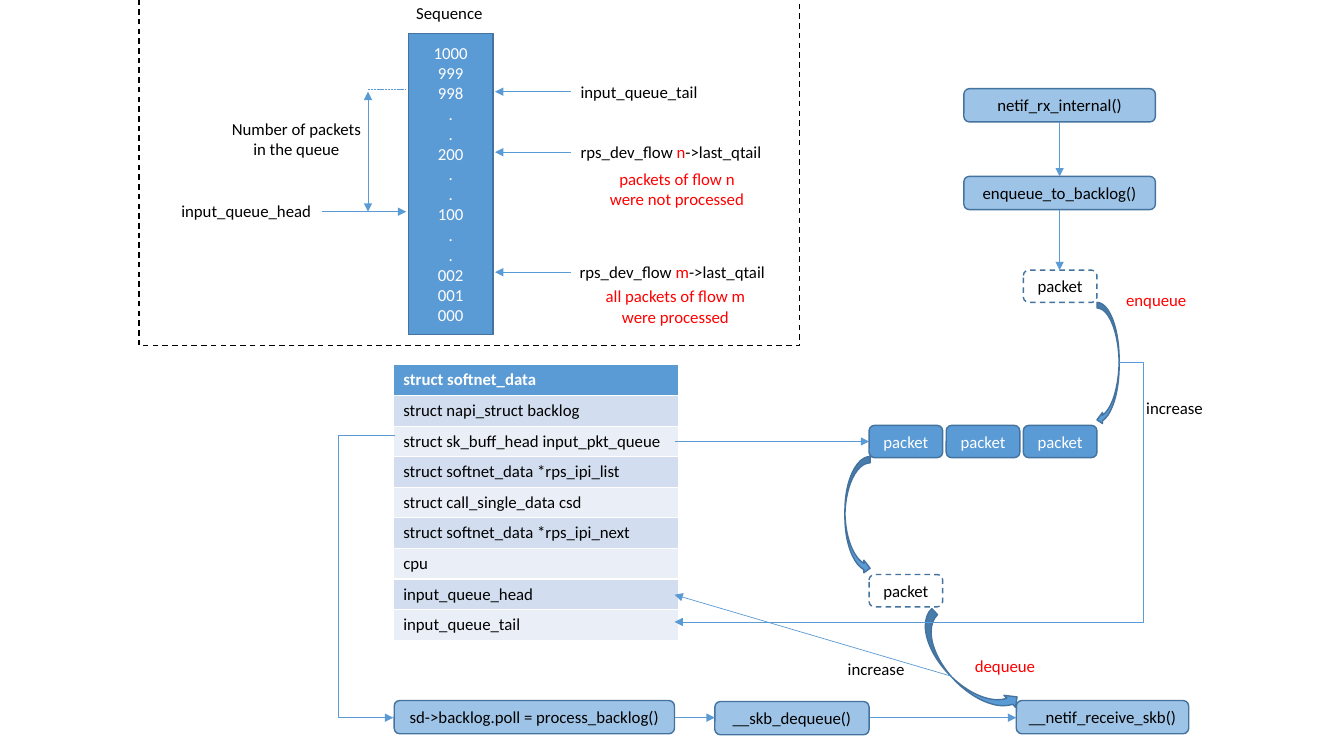
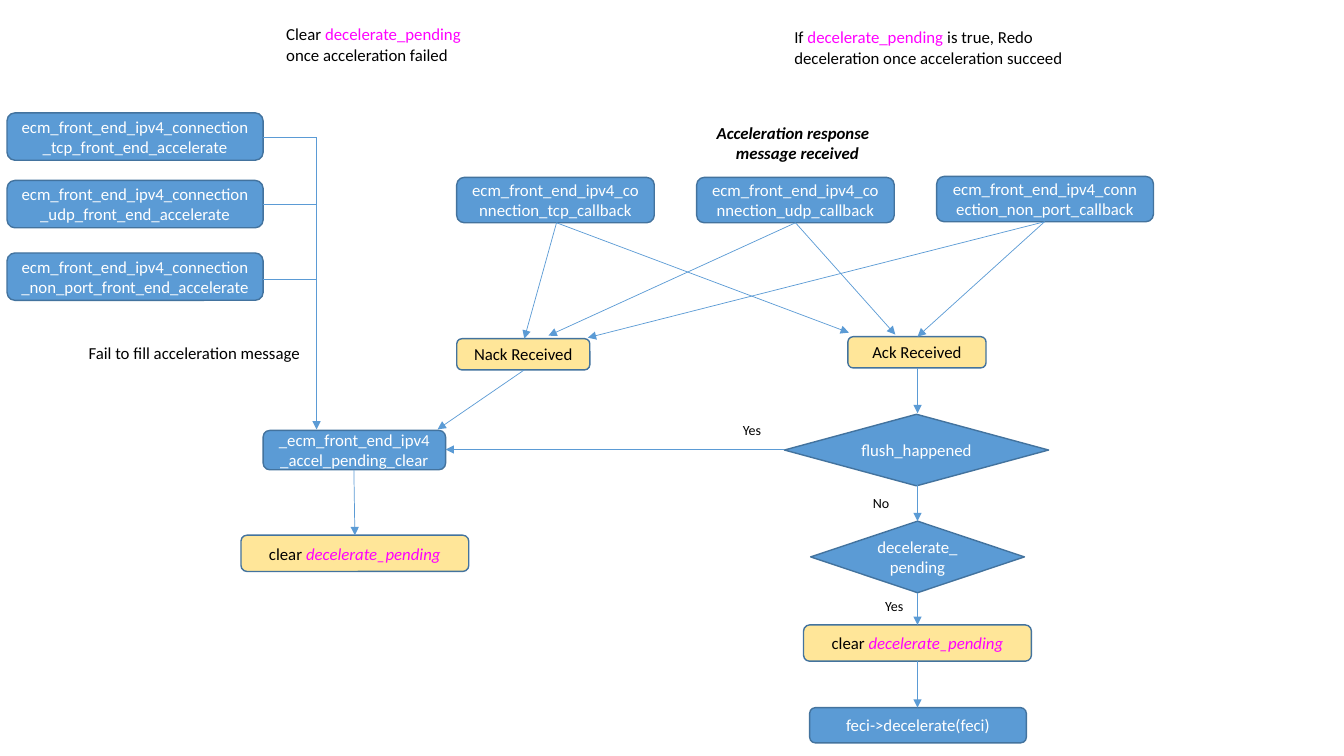
from dataclasses import dataclass

from lxml import etree
from pptx import Presentation
from pptx.dml.color import RGBColor
from pptx.enum import dml, shapes, text
from pptx.oxml import ns
from pptx.util import Inches, Pt


@dataclass(frozen=True)
class Theme:
    blue: RGBColor = RGBColor.from_string("5B9BD5")
    outline: RGBColor = RGBColor.from_string("43739E")
    sky: RGBColor = RGBColor.from_string("9DC3E6")
    yellow: RGBColor = RGBColor.from_string("FFE699")
    band_dark: RGBColor = RGBColor.from_string("D2DEEF")
    band_light: RGBColor = RGBColor.from_string("EAEFF7")
    black: RGBColor = RGBColor.from_string("000000")
    white: RGBColor = RGBColor.from_string("FFFFFF")
    red: RGBColor = RGBColor.from_string("FF0000")
    magenta: RGBColor = RGBColor.from_string("FF00FF")
    font: str = "Calibri"
    body: int = 12
    small: int = 10
    border: float = 1
    arrow: float = 0.5


THEME = Theme()
KIND = shapes.MSO_SHAPE
DASH = dml.MSO_LINE.DASH
LEFT, CENTER = text.PP_ALIGN.LEFT, text.PP_ALIGN.CENTER


def add_block(slide, kind, box, lines=(), fill=None, ink=THEME.black, size=THEME.body,
              align=CENTER, wrap=True, dash=None, border=THEME.outline, **style):
    """Add a shape, or a text box if kind is None; a line is a string or a list of (text, font values)."""
    place = [Inches(value) for value in box]
    if kind is None:
        block = slide.shapes.add_textbox(*place)
        block.text_frame.auto_size = text.MSO_AUTO_SIZE.SHAPE_TO_FIT_TEXT
    else:
        block = slide.shapes.add_shape(kind, *place)
        block.shadow.inherit = False
        block.line.color.rgb = border
        block.line.width = Pt(THEME.border)
        if dash:
            block.line.dash_style = dash
        if fill:
            block.fill.solid()
            block.fill.fore_color.rgb = fill
        else:
            block.fill.background()
        block.text_frame.vertical_anchor = text.MSO_ANCHOR.MIDDLE
    frame = block.text_frame
    frame.word_wrap = wrap
    for index, line in enumerate(lines):
        paragraph = frame.add_paragraph() if index else frame.paragraphs[0]
        paragraph.alignment = align
        for words, extra in [(line, {})] if isinstance(line, str) else line:
            run = paragraph.add_run()
            run.text = words
            values = {"name": THEME.font, "size": Pt(size), "color": ink, **style, **extra}
            run.font.color.rgb = values.pop("color")
            for name, value in values.items():
                setattr(run.font, name, value)
    return block


def add_line(slide, start, end, head=False, tail=True, dash=None, via=None):
    """Join two points; via is the x of the upright part of an elbow."""
    kind = shapes.MSO_CONNECTOR.STRAIGHT if via is None else shapes.MSO_CONNECTOR.ELBOW
    joint = slide.shapes.add_connector(kind, *[Inches(value) for value in (*start, *end)])
    joint.line.color.rgb = THEME.blue
    joint.line.width = Pt(THEME.arrow)
    if dash:
        joint.line.dash_style = dash
    properties = joint._element.spPr
    stroke = properties.find(ns.qn("a:ln"))
    for tag, wanted in (("a:headEnd", head), ("a:tailEnd", tail)):
        if wanted:
            etree.SubElement(stroke, ns.qn(tag), type="triangle")
    etree.SubElement(properties, ns.qn("a:effectLst"))
    if via is not None:
        share = round(100000 * (via - start[0]) / (end[0] - start[0]))
        guides = properties.find(ns.qn("a:prstGeom")).find(ns.qn("a:avLst"))
        etree.SubElement(guides, ns.qn("a:gd"), name="adj1", fmla=f"val {share}")


deck = Presentation()
deck.slide_width, deck.slide_height = Inches(13.33), Inches(7.5)
blank = deck.slide_layouts[6]
solid = {"fill": THEME.blue, "ink": THEME.white}
label = {"align": LEFT, "wrap": False}

# Slide 1: backlog queue
queue = deck.slides.add_slide(blank)

fields = ["struct softnet_data", "struct napi_struct backlog",
          "struct sk_buff_head input_pkt_queue", "struct softnet_data *rps_ipi_list",
          "struct call_single_data csd", "struct softnet_data *rps_ipi_next",
          "cpu", "input_queue_head", "input_queue_tail"]
row_height = 0.3
softnet = queue.shapes.add_table(len(fields), 1, Inches(3.9), Inches(3.62), Inches(2.83),
                                 Inches(row_height * len(fields))).table
for index, field in enumerate(fields):
    softnet.rows[index].height = Inches(row_height)
    cell = softnet.cell(index, 0)
    cell.text = field
    cell.fill.solid()
    banding = THEME.band_dark if index % 2 else THEME.band_light
    cell.fill.fore_color.rgb = banding if index else THEME.blue
    font = cell.text_frame.paragraphs[0].runs[0].font
    font.color.rgb = THEME.black if index else THEME.white
    for name, value in {"name": THEME.font, "size": Pt(THEME.body), "bold": index == 0}.items():
        setattr(font, name, value)

# Packets and the calls that move them
packet_size = (0.73, 0.32)
for index in range(3):
    add_block(queue, KIND.ROUNDED_RECTANGLE, (8.62 + 0.765 * index, 4.22, *packet_size),
              ["packet"], **solid)
for left, top in ((8.62, 5.7), (10.15, 2.68)):
    add_block(queue, KIND.ROUNDED_RECTANGLE, (left, top, *packet_size), ["packet"], dash=DASH)
for kind, box, turn in ((KIND.CURVED_RIGHT_ARROW, (8.38, 4.53, 0.25, 1.17), 0),
                        (KIND.CURVED_LEFT_ARROW, (10.88, 3, 0.22, 1.22), 0),
                        (KIND.CURVED_RIGHT_ARROW, (9.41, 5.97, 0.33, 1.3), 316)):
    add_block(queue, kind, box, fill=THEME.blue).rotation = turn
for left, top, width, call in ((9.56, 0.88, 1.9, "netif_rx_internal()"),
                               (9.56, 1.75, 1.9, "enqueue_to_backlog()"),
                               (3.91, 6.95, 2.78, "sd->backlog.poll = process_backlog()"),
                               (7.09, 6.96, 1.53, "__skb_dequeue()"),
                               (10.08, 6.95, 1.71, "__netif_receive_skb()")):
    add_block(queue, KIND.ROUNDED_RECTANGLE, (left, top, width, 0.33), [call], fill=THEME.sky)
for start, end in (((6.69, 4.38), (8.62, 4.38)), ((9.44, 6.71), (6.69, 5.9)),
                   ((10.51, 1.21), (10.51, 1.75)), ((10.51, 2.08), (10.51, 2.68)),
                   ((6.69, 7.12), (7.09, 7.12)), ((8.63, 7.12), (10.08, 7.12))):
    add_line(queue, start, end)
add_line(queue, (11.09, 3.59), (6.69, 6.17), via=11.34)
add_line(queue, (3.92, 4.32), (3.9, 7.12), via=3.36)

# Sequence numbers
add_block(queue, KIND.RECTANGLE, (1.38, -0.01, 6.55, 3.44), dash=DASH, border=THEME.black)
add_block(queue, KIND.RECTANGLE, (4.05, 0.33, 0.84, 2.99),
          "1000 999 998 . . 200 . . 100 . . 002 001 000".split(), **solid)
add_line(queue, (3.65, 0.89), (4.03, 0.89), tail=False, dash=dml.MSO_LINE.SQUARE_DOT)
add_line(queue, (3.65, 0.91), (3.65, 2.1), head=True)
add_line(queue, (3.19, 2.1), (4.03, 2.1))
for top in (0.91, 1.51, 2.7):
    add_line(queue, (5.66, top), (4.91, top))

for left, top, width, words, ink in ((8.31, 6.49, 0.77, "increase", THEME.black),
                                     (11.27, 3.9, 0.77, "increase", THEME.black),
                                     (11.07, 2.83, 0.81, "enqueue", THEME.red),
                                     (9.57, 6.46, 0.81, "dequeue", THEME.red),
                                     (1.7, 1.94, 1.5, "input_queue_head", THEME.black),
                                     (5.66, 0.76, 1.37, "input_queue_tail", THEME.black),
                                     (4.03, -0.02, 0.87, "Sequence", THEME.black)):
    add_block(queue, None, (left, top, width, 0.3), [words], ink=ink, **label)
for left, top, width, flow_name in ((5.66, 1.36, 2.01, "n"), (5.65, 2.55, 2.06, "m")):
    add_block(queue, None, (left, top, width, 0.3),
              [[("rps_dev_flow ", {}), (flow_name, {"color": THEME.red}), ("->last_qtail", {})]],
              **label)
for left, top, width, lines, ink in (
        (2.19, 1.13, 1.5, ["Number of packets", "in the queue"], THEME.black),
        (5.85, 2.79, 1.7, ["all packets of flow m", "were processed"], THEME.red),
        (5.94, 1.62, 1.55, ["packets of flow n", "were not processed"], THEME.red)):
    add_block(queue, None, (left, top, width, 0.5), lines, ink=ink, wrap=False)

# Slide 2: acceleration responses
flow = deck.slides.add_slide(blank)
pending = ("decelerate_pending", {"color": THEME.magenta})
pending_italic = ("decelerate_pending", {"color": THEME.magenta, "italic": True})

add_block(flow, None, (2.74, 0.19, 2.22, 0.5),
          [[("Clear ", {}), pending, (" once acceleration failed", {})]], align=LEFT)
add_block(flow, None, (7.78, 0.22, 2.97, 0.5),
          [[("If ", {}), pending,
            (" is true, Redo deceleration once acceleration succeed", {})]], align=LEFT)
response = add_block(flow, None, (7.01, 1.17, 1.74, 0.5),
                     ["Acceleration response", "message received"],
                     bold=True, italic=True, **label)
response.text_frame.paragraphs[1]._p.get_or_add_pPr().set("marL", str(Inches(0.19)))
add_block(flow, None, (0.78, 3.35, 2.33, 0.3), ["Fail to fill acceleration message"], **label)
for left, top, answer in ((7.27, 4.13, "Yes"), (8.56, 4.86, "No"), (8.68, 5.88, "Yes")):
    add_block(flow, None, (left, top, 0.39, 0.27), [answer], size=THEME.small, **label)

prefix = "ecm_front_end_ipv4_connection_"
for kind, box, words in (
        (KIND.ROUNDED_RECTANGLE, (0.07, 1.12, 2.54, 0.47), prefix + "tcp_front_end_accelerate"),
        (KIND.ROUNDED_RECTANGLE, (0.07, 1.79, 2.54, 0.47), prefix + "udp_front_end_accelerate"),
        (KIND.ROUNDED_RECTANGLE, (0.07, 2.51, 2.54, 0.47),
         prefix + "non_port_front_end_accelerate"),
        (KIND.ROUNDED_RECTANGLE, (4.53, 1.76, 1.96, 0.45), prefix + "tcp_callback"),
        (KIND.ROUNDED_RECTANGLE, (6.91, 1.76, 1.96, 0.45), prefix + "udp_callback"),
        (KIND.ROUNDED_RECTANGLE, (9.29, 1.75, 2.15, 0.45), prefix + "non_port_callback"),
        (KIND.ROUNDED_RECTANGLE, (2.61, 4.27, 1.81, 0.39),
         "_ecm_front_end_ipv4_accel_pending_clear"),
        (KIND.ROUNDED_RECTANGLE, (8.03, 7.02, 2.15, 0.35), "feci->decelerate(feci)"),
        (KIND.FLOWCHART_DECISION, (7.78, 4.11, 2.62, 0.71), "flush_happened"),
        (KIND.FLOWCHART_DECISION, (8.04, 5.17, 2.12, 0.71), "decelerate_pending")):
    add_block(flow, kind, box, [words], **solid)
for box, line in (((8.41, 3.34, 1.37, 0.31), "Ack Received"),
                  ((4.53, 3.36, 1.32, 0.31), "Nack Received"),
                  ((2.39, 5.31, 2.26, 0.36), [("clear ", {}), pending_italic]),
                  ((7.97, 6.2, 2.26, 0.36), [("clear ", {}), pending_italic])):
    add_block(flow, KIND.ROUNDED_RECTANGLE, box, [line], fill=THEME.yellow)

# Each callback may lead to either answer
for source, nack, ack in (((5.52, 2.21), (5.2, 3.36), (8.42, 3.3)),
                          ((7.89, 2.21), (5.44, 3.33), (8.88, 3.32)),
                          ((10.36, 2.2), (5.83, 3.35), (9.1, 3.34))):
    add_line(flow, source, nack)
    add_line(flow, source, ack)
for top, bottom in ((3.65, 4.1), (4.81, 5.17), (5.88, 6.2), (6.56, 7.02)):
    add_line(flow, (9.1, top), (9.1, bottom))
for top in (1.36, 2.03, 2.77):
    add_line(flow, (2.61, top), (3.14, top), tail=False)
for start, end in (((3.14, 1.36), (3.14, 4.26)), ((5.2, 3.67), (4.34, 4.26)),
                   ((7.78, 4.46), (4.42, 4.46)), ((3.51, 4.66), (3.52, 5.31))):
    add_line(flow, start, end)

deck.save("out.pptx")
